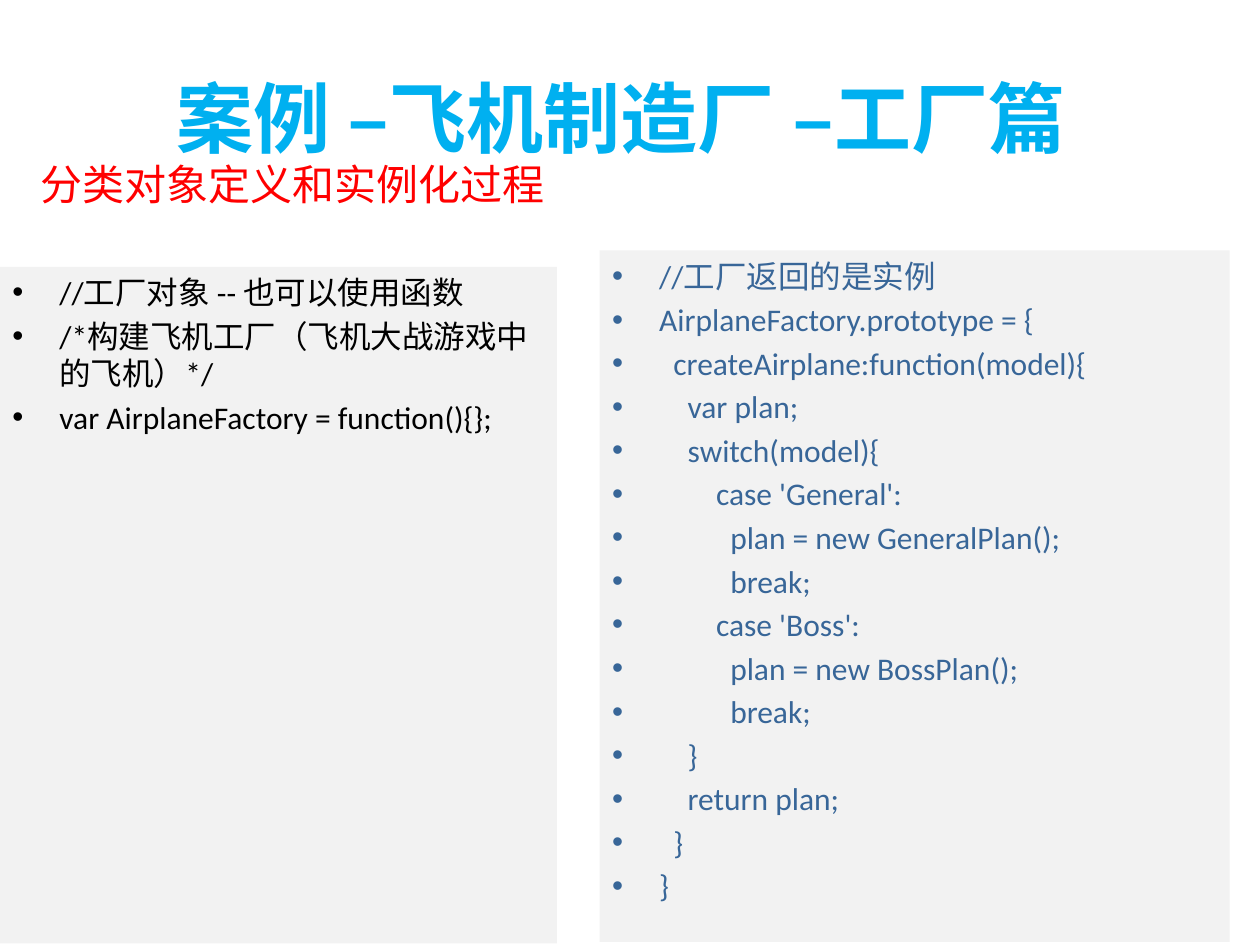
from pptx import Presentation
from pptx import util as u
from pptx.dml.color import RGBColor
from pptx.enum import shapes, text
from pptx.oxml.ns import qn
from lxml import etree


def paint(item, color):
    """Give a fill or a font one solid colour."""
    if hasattr(item, "solid"):
        item.solid()
        item.fore_color.rgb = RGBColor.from_string(color)
    else:
        item.color.rgb = RGBColor.from_string(color)


def write(shape, lines, size, color, face="Calibri", bold=False,
          align="LEFT", anchor="TOP", bullet=False):
    frame = shape.text_frame
    frame.word_wrap = True
    frame.vertical_anchor = getattr(text.MSO_ANCHOR, anchor)
    for i, line in enumerate(lines):
        para = frame.add_paragraph() if i else frame.paragraphs[0]
        para.alignment = getattr(text.PP_ALIGN, align)
        if bullet:
            props = para._p.get_or_add_pPr()
            props.set("marL", str(u.Cm(0.95)))
            props.set("indent", str(u.Cm(-0.95)))
            etree.SubElement(props, qn("a:buFont")).set("typeface", "Arial")
            etree.SubElement(props, qn("a:buChar")).set("char", "•")
            if i:
                para.space_before = u.Pt(3.3)
        run = para.add_run()
        run.text = line
        run.font.size = u.Pt(size)
        run.font.name = face
        run.font.bold = bold
        paint(run.font, color)


deck = Presentation()
deck.slide_width, deck.slide_height = u.Cm(25.4), u.Cm(19.05)
slide = deck.slides.add_slide(deck.slide_layouts[6])

title = slide.shapes.add_textbox(u.Cm(1.27), u.Cm(0.76), u.Cm(22.86), u.Cm(3.18))
write(title, ["案例 –飞机制造厂 –工厂篇 "], 44, "00B0F0", bold=True,
      align="CENTER", anchor="MIDDLE")

setup = [
    "//工厂对象 -- 也可以使用函数",
    "/*构建飞机工厂（飞机大战游戏中的飞机）*/",
    "var AirplaneFactory = function(){};",
]
proto = [
    "//工厂返回的是实例",
    "AirplaneFactory.prototype = {",
    "  createAirplane:function(model){",
    "    var plan;",
    "    switch(model){",
    "        case 'General':",
    "          plan = new GeneralPlan();",
    "          break;",
    "        case 'Boss':",
    "          plan = new BossPlan();",
    "          break;",
    "    }",
    "    return plan;",
    "  }",
    "}",
]
panels = [
    ((0, 5.38, 11.23, 13.64), setup, "000000"),
    ((12.09, 5.05, 12.7, 13.94), proto, "386698"),
]
for area, code, color in panels:
    panel = slide.shapes.add_shape(shapes.MSO_SHAPE.RECTANGLE, *map(u.Cm, area))
    panel.shadow.inherit = False
    panel.line.fill.background()
    paint(panel.fill, "F2F2F2")
    write(panel, code, 18, color, bullet=True)

topic = slide.shapes.add_textbox(u.Cm(0.56), u.Cm(3.07), u.Cm(23.09), u.Cm(1.3))
write(topic, ["分类对象定义和实例化过程"], 24, "FF0000", face="Arial")

deck.save("out.pptx")
